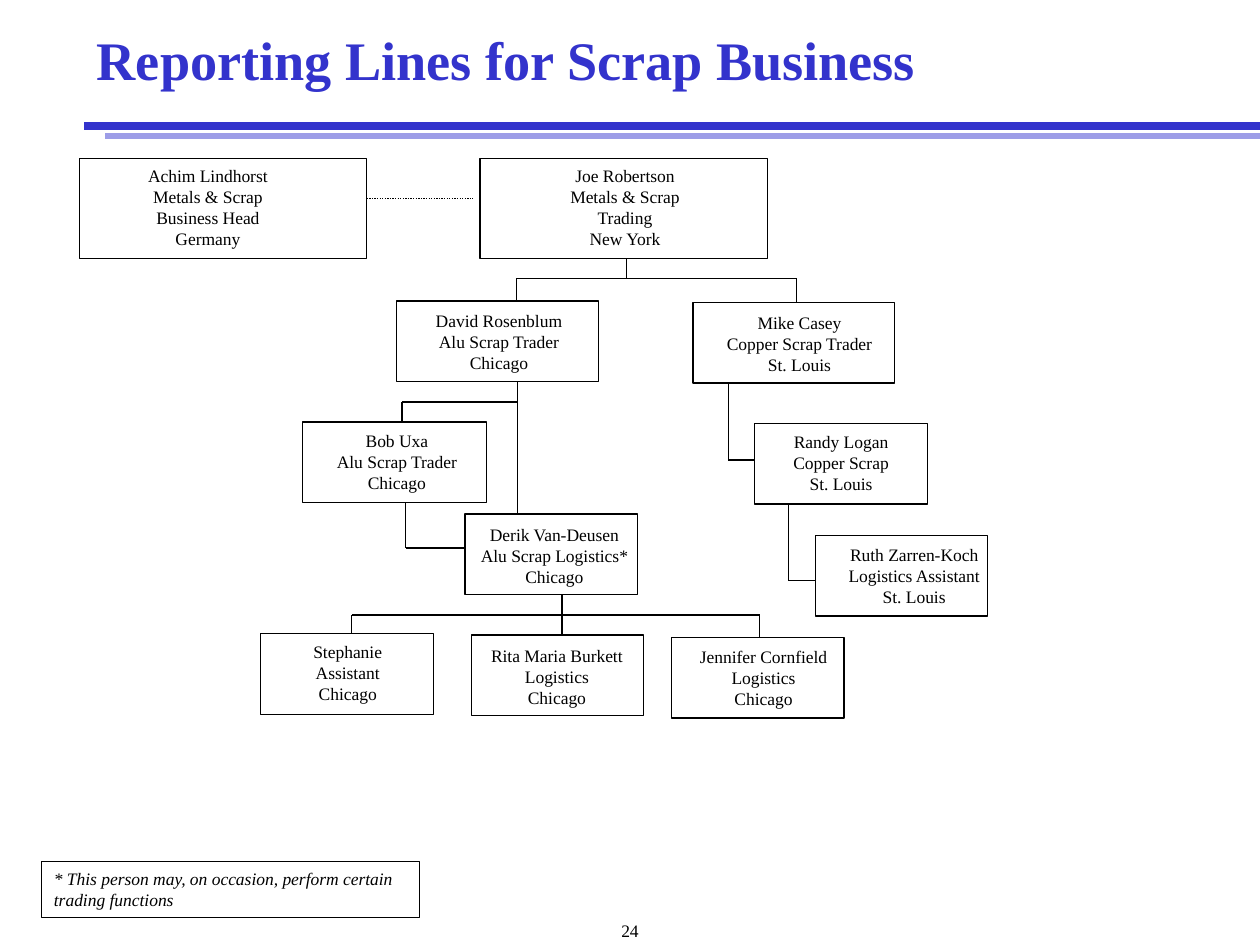
from collections import namedtuple

from lxml.etree import SubElement
from pptx import Presentation
from pptx.dml.color import RGBColor
from pptx.enum.dml import MSO_LINE
from pptx.enum.shapes import MSO_CONNECTOR, MSO_SHAPE
from pptx.enum.text import MSO_ANCHOR, PP_ALIGN
from pptx.oxml.ns import qn
from pptx.util import Inches, Pt

# The slide is a grid of 10 columns by 7.5 rows, one inch each.
COLUMNS, ROWS = 10, 7.5
UNIT = Inches(1)
BLACK, BLUE, LILAC = "000000", "3333CC", "9D9DE7"
BODY = {"name": "Times New Roman", "size": Pt(10), "bold": False, "italic": False}

Box = namedtuple("Box", "left top width height")
# The label is shifted from its frame and has its own width.
Person = namedtuple("Person", "box shift drop label_width lines")

HEAD, TRADER, STAFF = (2.28, 0.79), (1.6, 0.64), (1.37, 0.64)
PEOPLE = {
    "Achim": Person(Box(0.63, 1.26, *HEAD), -0.05, 0, 2.14,
                    ["Achim Lindhorst", "Metals & Scrap", "Business Head", "Germany"]),
    "Joe": Person(Box(3.81, 1.26, *HEAD), 0.08, 0, 2.14,
                  ["Joe Robertson", "Metals & Scrap", "Trading", "New York"]),
    "David": Person(Box(3.15, 2.39, *TRADER), 0.03, 0.02, 1.56,
                    ["David Rosenblum", "Alu Scrap Trader", "Chicago"]),
    "Mike": Person(Box(5.5, 2.4, *TRADER), 0.16, 0.03, 1.37,
                   ["Mike Casey", "Copper Scrap Trader", "St. Louis"]),
    "Bob": Person(Box(2.4, 3.35, 1.46, 0.64), -0.03, 0.01, 1.56,
                  ["Bob Uxa", "Alu Scrap Trader", "Chicago"]),
    "Randy": Person(Box(5.99, 3.36, *STAFF), 0.1, 0.01, 1.17,
                    ["Randy Logan", "Copper Scrap", "St. Louis"]),
    "Derik": Person(Box(3.69, 4.08, *STAFF), -0.07, 0.03, 1.56,
                    ["Derik Van-Deusen", "Alu Scrap Logistics*", "Chicago"]),
    "Ruth": Person(Box(6.47, 4.25, *STAFF), 0.06, 0.02, 1.45,
                   ["Ruth Zarren-Koch", "Logistics Assistant", "St. Louis"]),
    "Stephanie": Person(Box(2.07, 5.03, *STAFF), 0.19, 0.01, 1,
                        ["Stephanie", "Assistant", "Chicago"]),
    "Rita": Person(Box(3.74, 5.04, *STAFF), -0.02, 0.03, 1.4,
                   ["Rita Maria Burkett", "Logistics", "Chicago"]),
    "Jennifer": Person(Box(5.33, 5.06, *STAFF), 0.03, 0.02, 1.4,
                       ["Jennifer Cornfield", "Logistics", "Chicago"]),
}

# Manager, column of the stem, then each report with the column of its drop.
FORKS = [
    ("Joe", 4.97, {"David": 4.1, "Mike": 6.32}),
    ("David", 4.11, {"Bob": 3.19, "Derik": 4.11}),
    ("Derik", 4.46, {"Stephanie": 2.79, "Rita": 4.46, "Jennifer": 6.03}),
]
# Manager, column of the stem, report, row where the report is reached.
STEPS = [("Bob", 3.22, "Derik", 4.35), ("Mike", 5.78, "Randy", 3.65),
         ("Randy", 6.26, "Ruth", 4.61)]


def color(hex_string):
    return RGBColor.from_string(hex_string)


def grid(*lengths):
    return [round(length * UNIT) for length in lengths]


def add_line(slide, start, end, hex_string=BLACK, weight=0.75, dash=None):
    line = slide.shapes.add_connector(MSO_CONNECTOR.STRAIGHT, *grid(*start, *end))
    line.line.color.rgb = color(hex_string)
    line.line.width = Pt(weight)
    if dash:
        line.line.dash_style = dash
    SubElement(line._element.spPr, qn("a:effectLst"))


def add_frame(slide, box):
    frame = slide.shapes.add_shape(MSO_SHAPE.RECTANGLE, *grid(*box))
    frame.shadow.inherit = False
    frame.fill.background()
    frame.line.color.rgb = color(BLACK)
    frame.line.width = Pt(0.75)
    return frame


def write(holder, lines, align=PP_ALIGN.LEFT, anchor=MSO_ANCHOR.TOP,
          hex_string=BLACK, **changes):
    text = holder.text_frame
    text.word_wrap = True
    text.vertical_anchor = anchor
    text.text = "\n".join(lines)
    for paragraph in text.paragraphs:
        paragraph.alignment = align
        for key, value in {**BODY, **changes}.items():
            setattr(paragraph.font, key, value)
        paragraph.font.color.rgb = color(hex_string)


def add_heading(slide, box):
    bottom = box.top + box.height
    add_line(slide, (COLUMNS, bottom), (box.left, bottom), BLUE, 4.5)
    add_line(slide, (COLUMNS, bottom + 0.08), (box.left + 0.16, bottom + 0.08), LILAC, 3)
    title = slide.shapes.add_textbox(*grid(*box))
    write(title, ["Reporting Lines for Scrap Business"], anchor=MSO_ANCHOR.MIDDLE,
          hex_string=BLUE, size=Pt(31), bold=True)
    title.text_frame.paragraphs[0].line_spacing = 0.9


def add_person(slide, person):
    box = person.box
    add_frame(slide, box)
    label = slide.shapes.add_textbox(*grid(
        box.left + person.shift, box.top + person.drop, person.label_width, box.height - 0.03))
    write(label, person.lines, PP_ALIGN.CENTER)


def add_fork(slide, manager, stem, reports):
    """Draw a stem down to a bar, and a drop from the bar to each report."""
    bottom = manager.top + manager.height
    bar = bottom + 0.16
    add_line(slide, (stem, bottom), (stem, bar))
    for report, column in reports.items():
        if column != stem:
            add_line(slide, (stem, bar), (column, bar))
        add_line(slide, (column, bar), (column, PEOPLE[report].box.top))


def add_step(slide, manager, stem, report, row):
    """Draw a stem down from the manager and a turn right into the report."""
    add_line(slide, (stem, manager.top + manager.height), (stem, row))
    add_line(slide, (stem, row), (report.left, row))


def add_chart_of_people(slide):
    for person in PEOPLE.values():
        add_person(slide, person)
    for manager, stem, reports in FORKS:
        add_fork(slide, PEOPLE[manager].box, stem, reports)
    for manager, stem, report, row in STEPS:
        add_step(slide, PEOPLE[manager].box, stem, PEOPLE[report].box, row)
    head, peer = PEOPLE["Achim"].box, PEOPLE["Joe"].box
    row = head.top + 0.4 * head.height
    add_line(slide, (head.left + head.width, row), (peer.left - 0.06, row),
             dash=MSO_LINE.ROUND_DOT)


def add_footer(slide, note_box, number_box):
    write(add_frame(slide, note_box),
          ["* This person may, on occasion, perform certain trading functions"], italic=True)
    write(slide.shapes.add_textbox(*grid(*number_box)), ["24"], PP_ALIGN.CENTER)


def main():
    deck = Presentation()
    deck.slide_width, deck.slide_height = grid(COLUMNS, ROWS)
    slide = deck.slides.add_slide(deck.slide_layouts[6])
    add_heading(slide, Box(0.67, 0, 9.08, 1))
    add_chart_of_people(slide)
    add_footer(slide, Box(0.33, 6.84, 3, 0.44), Box(0, 7.25, COLUMNS, 0.17))
    deck.save("out.pptx")


if __name__ == "__main__":
    main()
